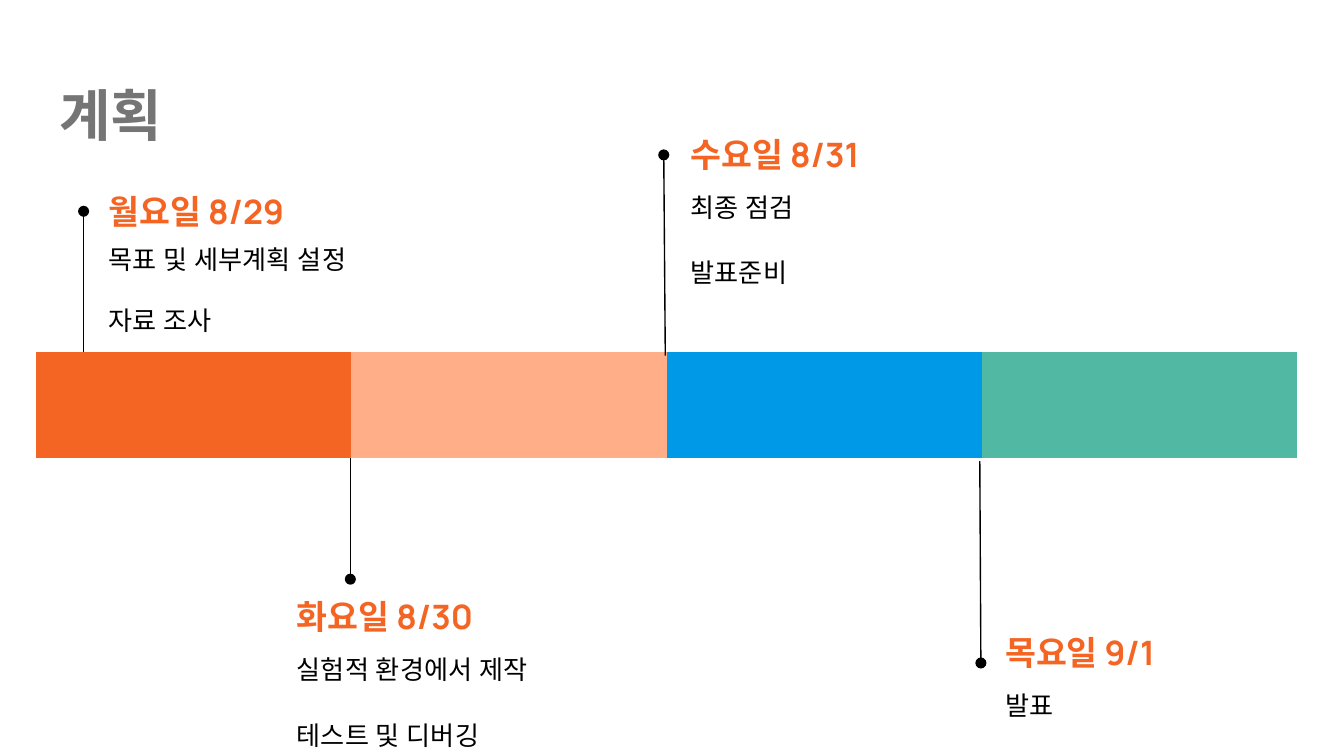
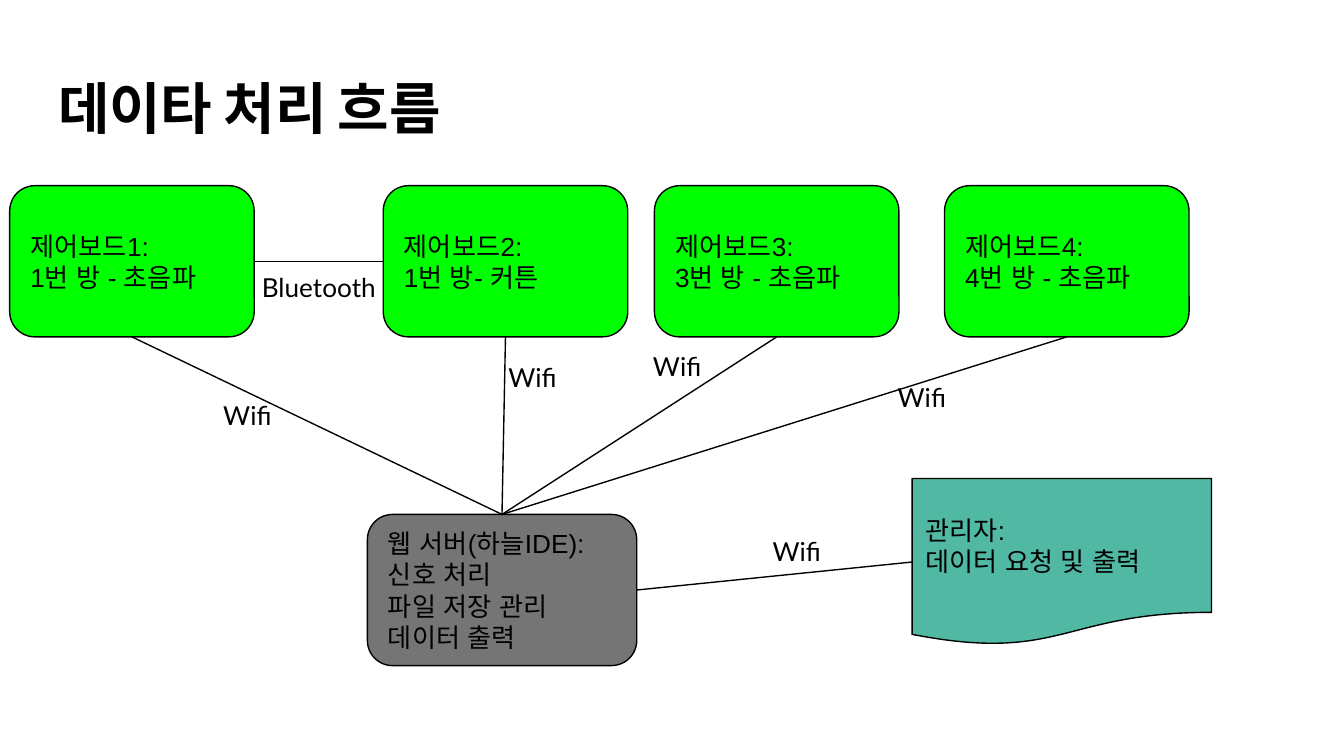
from dataclasses import dataclass

from lxml.etree import SubElement
from pptx import Presentation
from pptx.dml.color import RGBColor
from pptx.enum.shapes import MSO_CONNECTOR, MSO_SHAPE
from pptx.enum.text import MSO_ANCHOR, MSO_AUTO_SIZE
from pptx.oxml.ns import qn
from pptx.util import Pt


@dataclass(frozen=True)
class Theme:
    orange: str = "F46524"
    peach: str = "FFAE88"
    blue: str = "0099E8"
    teal: str = "51B9A3"
    green: str = "00FF00"
    gray: str = "757575"
    black: str = "000000"
    heading_font: str = "Manrope"
    body_font: str = "Lato"
    node_font: str = "Arial"
    title_size: int = 30
    heading_size: int = 18
    body_size: int = 14
    line_width: float = 0.75
    inset: float = 7.2
    paragraph_gap: int = 16


@dataclass(frozen=True)
class Box:
    left: float
    top: float
    width: float
    height: float

    def lengths(self):
        return [Pt(value) for value in (self.left, self.top, self.width, self.height)]


@dataclass(frozen=True)
class Day:
    heading: str
    tasks: tuple
    box: Box
    stem: tuple
    line_spacing: float = 1.15


THEME = Theme()
TOP, LEFT, BOTTOM, RIGHT = range(4)  # connection sites of a node


def color(value):
    return RGBColor.from_string(value)


# Shared parts
def write_text(shape, lines, font, size, text_color, bold=False, anchor=MSO_ANCHOR.TOP):
    frame = shape.text_frame
    frame.text = "\n".join(lines)
    frame.word_wrap = True
    frame.vertical_anchor = anchor
    frame.margin_left = frame.margin_right = Pt(THEME.inset)
    frame.margin_top = frame.margin_bottom = Pt(THEME.inset)
    for paragraph in frame.paragraphs:
        for run in paragraph.runs:
            run.font.name = font
            run.font.size = Pt(size)
            run.font.bold = bold
            run.font.color.rgb = color(text_color)
            SubElement(run.font._element, qn("a:ea"), typeface=font)
    return frame


def add_text(slide, box, lines, *style, **options):
    return write_text(slide.shapes.add_textbox(*box.lengths()), lines, *style, **options)


def add_title(slide, box, text, text_color):
    add_text(slide, box, [text], THEME.heading_font, THEME.title_size, text_color, bold=True)


def add_line(slide, start=(0, 0), end=(0, 0), dot=False):
    points = [Pt(value) for value in (*start, *end)]
    connector = slide.shapes.add_connector(MSO_CONNECTOR.STRAIGHT, *points)
    connector.line.color.rgb = color(THEME.black)
    connector.line.width = Pt(THEME.line_width)
    properties = connector._element.spPr
    if dot:
        SubElement(properties.find(qn("a:ln")), qn("a:tailEnd"), type="oval")
    SubElement(properties, qn("a:effectLst"))
    return connector


# Plan slide
def add_color_band(slide, box, fills):
    table = slide.shapes.add_table(1, len(fills), *box.lengths()).table
    table.first_row = table.horz_banding = False
    for column, fill in enumerate(fills):
        table.columns[column].width = Pt(box.width / len(fills))
        cell = table.cell(0, column)
        properties = cell._tc.get_or_add_tcPr()
        for side in ("lnL", "lnR", "lnT", "lnB"):
            SubElement(SubElement(properties, qn(f"a:{side}")), qn("a:noFill"))
        cell.fill.solid()
        cell.fill.fore_color.rgb = color(fill)


def add_day(slide, day):
    box = day.box
    heading_height, body_offset = 31, 25.6
    heading_box = Box(box.left, box.top, box.width, heading_height)
    add_text(slide, heading_box, [day.heading], THEME.heading_font, THEME.heading_size,
             THEME.orange, bold=True, anchor=MSO_ANCHOR.MIDDLE)
    body_box = Box(box.left, box.top + body_offset, box.width, box.height - body_offset)
    body = add_text(slide, body_box, day.tasks, THEME.body_font, THEME.body_size, THEME.black)
    for paragraph in body.paragraphs:
        paragraph.line_spacing = day.line_spacing
    for paragraph in body.paragraphs[1:]:
        paragraph.space_before = Pt(THEME.paragraph_gap)
    body.paragraphs[-1].space_after = Pt(THEME.paragraph_gap)
    add_line(slide, *day.stem, dot=True)


def build_plan(slide):
    add_title(slide, Box(24.7, 36, 129, 50.4), "계획", THEME.gray)
    band = Box(19.3, 188.6, 675.6, 56.9)
    add_color_band(slide, band, (THEME.orange, THEME.peach, THEME.blue, THEME.teal))
    bottom = band.top + band.height
    days = (
        Day("월요일 8/29", ("목표 및 세부계획 설정", "자료 조사"),
            Box(51.1, 97.5, 182, 71), ((44.8, band.top), (44.8, 113.2)), 1),
        Day("화요일 8/30", ("실험적 환경에서 제작", "테스트 및 디버깅"),
            Box(151.9, 314.6, 182, 100), ((187.7, bottom), (187.7, 310.3))),
        Day("수요일 8/31", ("최종 점검", "발표준비"),
            Box(362.9, 67, 185, 71), ((356.4, 190.6), (355.6, 83))),
        Day("목요일 9/1", ("발표",),
            Box(531.4, 334.1, 185, 71), ((524.9, 247), (525.5, 355.2))),
    )
    for day in days:
        add_day(slide, day)


# Data flow slide
def add_node(slide, box, lines, fill, preset=MSO_SHAPE.ROUNDED_RECTANGLE):
    node = slide.shapes.add_shape(preset, *box.lengths())
    node.shadow.inherit = False
    node.fill.solid()
    node.fill.fore_color.rgb = color(fill)
    node.line.color.rgb = color(THEME.black)
    node.line.width = Pt(THEME.line_width)
    frame = write_text(node, lines, THEME.node_font, THEME.body_size, THEME.black,
                       anchor=MSO_ANCHOR.MIDDLE)
    for paragraph in frame.paragraphs:
        paragraph.alignment = 1
    return node


def join_nodes(slide, first, first_site, second, second_site):
    connector = add_line(slide)
    connector.begin_connect(first, first_site)
    connector.end_connect(second, second_site)


def add_link_label(slide, left, top, text="Wifi", width=54):
    frame = add_text(slide, Box(left, top, width, 31.4), [text],
                     THEME.body_font, THEME.body_size, THEME.black)
    frame.auto_size = MSO_AUTO_SIZE.SHAPE_TO_FIT_TEXT


def build_data_flow(slide):
    add_title(slide, Box(24, 32.4, 671, 50.4), "데이타 처리 흐름", THEME.black)
    height = 81
    server = add_node(slide, Box(196.8, 275.6, 144.3, height),
                      ("웹 서버(하늘IDE):", "신호 처리", "파일 저장 관리", "데이터 출력"),
                      THEME.gray)
    rooms = ((5.2, "1번 방 - 초음파"), (205.3, "1번 방- 커튼"),
             (350.6, "3번 방 - 초음파"), (506, "4번 방 - 초음파"))
    boards = [add_node(slide, Box(left, 99.5, 131, height),
                       (f"제어보드{number}:", room), THEME.green)
              for number, (left, room) in enumerate(rooms, 1)]
    manager = add_node(slide, Box(488.6, 256.4, 160.4, 89.4),
                       ("관리자:", "데이터 요청 및 출력"), THEME.teal,
                       MSO_SHAPE.FLOWCHART_DOCUMENT)

    # Links between nodes
    for board in boards:
        join_nodes(slide, board, BOTTOM, server, TOP)
    join_nodes(slide, server, RIGHT, manager, LEFT)
    join_nodes(slide, boards[0], RIGHT, boards[1], LEFT)

    # Link labels
    for left, top in ((112.5, 206.6), (265.2, 186.6), (342.7, 180.4),
                      (473.8, 197.2), (406.8, 279.4)):
        add_link_label(slide, left, top)
    add_link_label(slide, 133.2, 138.2, "Bluetooth", 93.6)


def main():
    presentation = Presentation()
    presentation.slide_width, presentation.slide_height = Pt(720), Pt(405)
    blank = presentation.slide_layouts[6]
    for build in (build_plan, build_data_flow):
        build(presentation.slides.add_slide(blank))
    presentation.save("out.pptx")


if __name__ == "__main__":
    main()
